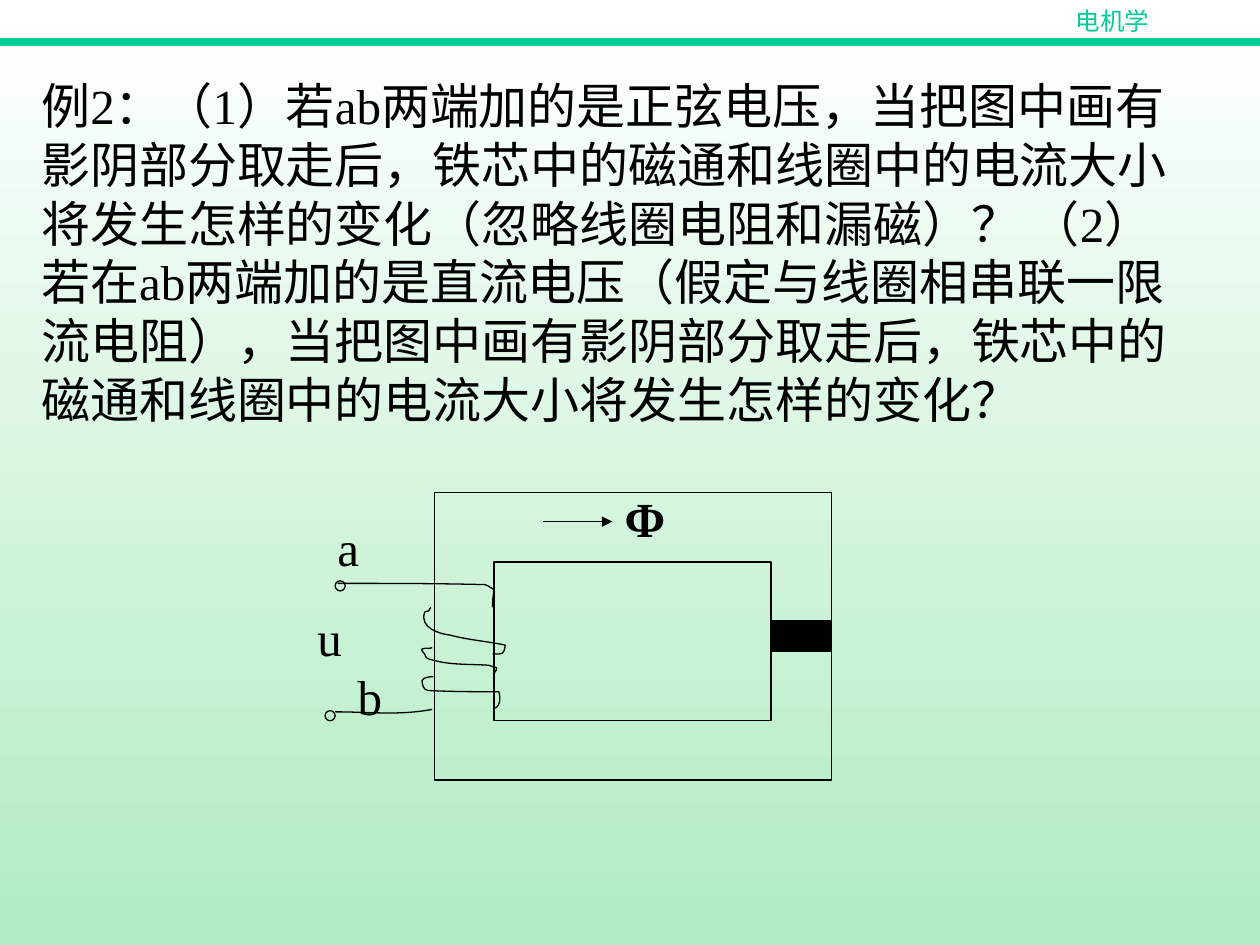
from pptx import Presentation
from pptx.dml.color import RGBColor
from pptx.enum.shapes import MSO_CONNECTOR, MSO_SHAPE
from pptx.enum.text import MSO_AUTO_SIZE, PP_ALIGN
from pptx.oxml.ns import qn
from pptx.util import Inches, Pt
from lxml.etree import SubElement

FONT = "Times New Roman"
CELL = Inches(0.1)
COLS, ROWS = 100, 75
BLACK, GREEN = "000000", "00CC99"
QUESTION = (
    "例2：（1）若ab两端加的是正弦电压，当把图中画有影阴部分取走后，"
    "铁芯中的磁通和线圈中的电流大小将发生怎样的变化（忽略线圈电阻和漏磁）？ "
    "（2）若在ab两端加的是直流电压（假定与线圈相串联一限流电阻），"
    "当把图中画有影阴部分取走后，铁芯中的磁通和线圈中的电流大小将发生怎样的变化？"
)
WIRES = [
    [(2.8, 8.3), (6.7, 8.3), (10.6, 8.3), (14.5, 8.4), (14.7, 8.4), (14.8, 8.6), (14.9, 8.6),
     (15, 8.7), (15.1, 8.7), (15.2, 8.8), (15.1, 9.9), (15.1, 9.4), (15.1, 10.2)],
    [(10.2, 10.2), (10.1, 10.3), (10.1, 10.4), (10, 10.5), (9.9, 10.5), (9.7, 10.5), (9.7, 10.6),
     (9.3, 11.8), (10.8, 12.3), (11.7, 12.4), (13.2, 12.8), (14.7, 12.9), (16.1, 13.2),
     (16, 14), (15.9, 13.9), (15.1, 13.9)],
    [(10.3, 13.4), (10.1, 13.5), (9.8, 13.4), (9.5, 13.5), (9.4, 13.6), (9.6, 13.8), (9.7, 13.9),
     (9.8, 14.3), (10, 14.3), (10.4, 14.4), (11.8, 14.8), (13.4, 14.7), (14.8, 14.8),
     (14.8, 14.8), (15.4, 15), (15.4, 15), (15.5, 15.2), (15.2, 15.3), (15.2, 15.5)],
    [(10.4, 15.7), (10.4, 15.7), (9.6, 15.7), (9.5, 16), (9.5, 16.3), (9.6, 16.8), (10, 16.8),
     (11.8, 16.9), (13.7, 16.9), (15.6, 16.9), (15.7, 17.4), (15.8, 17.9), (15.3, 18.2)],
    [(10.3, 18.3), (7.7, 18.8), (5.4, 18.5), (2.6, 18.5)],
]


def rgb(color):
    """Turn a hex string into a colour."""
    return RGBColor.from_string(color)


def place(box, x, y):
    """Return the slide position of a grid point inside a box."""
    return round((box[0] + x) * CELL), round((box[1] + y) * CELL)


def add_text(s, box, text, size=28, color=BLACK, bold=False, align=PP_ALIGN.LEFT):
    """Add a wrapped text box, without hanging punctuation, filling a box of grid cells."""
    tf = s.shapes.add_textbox(*(round(v * CELL) for v in box)).text_frame
    tf.word_wrap = True
    tf.auto_size = MSO_AUTO_SIZE.SHAPE_TO_FIT_TEXT
    p = tf.paragraphs[0]
    p.alignment = align
    p._p.get_or_add_pPr().set("hangingPunct", "0")
    r = p.add_run()
    r.text = text
    r.font.name, r.font.size, r.font.bold = FONT, Pt(size), bold
    r.font.color.rgb = rgb(color)


def style(sp, fill=None):
    """Give a shape a thin black outline and an optional fill."""
    sp.shadow.inherit = False
    sp.line.color.rgb = rgb(BLACK)
    sp.line.width = Pt(0.75)
    if fill:
        sp.fill.solid()
        sp.fill.fore_color.rgb = rgb(fill)
    else:
        sp.fill.background()


def add_shape(s, box, kind, x, y, w, h, fill=None):
    """Add a preset shape at grid cells inside a box."""
    sp = s.shapes.add_shape(kind, *place(box, x, y), round(w * CELL), round(h * CELL))
    style(sp, fill)


def add_line(s, box, start, end, color=BLACK, width=0.75, arrow=False):
    """Add a straight line between two grid points of a box."""
    sp = s.shapes.add_connector(MSO_CONNECTOR.STRAIGHT, *place(box, *start), *place(box, *end))
    sp.line.color.rgb = rgb(color)
    sp.line.width = Pt(width)
    if arrow:
        SubElement(sp.line._get_or_add_ln(), qn("a:tailEnd"), type="triangle")
    SubElement(sp._element.spPr, qn("a:effectLst"))


def add_wire(s, box, points):
    """Add an open wire of cubic curves, three points to each curve after the first point."""
    spots = [place(box, *q) for q in points]
    builder = s.shapes.build_freeform(*spots[0])
    builder.add_line_segments(spots[1:], close=False)
    sp = builder.convert_to_shape()
    style(sp)
    segments = list(sp._element.iter(qn("a:lnTo")))
    outline = segments[0].getparent()
    for i, segment in enumerate(segments):
        if i % 3 == 0:
            curve = SubElement(outline, qn("a:cubicBezTo"))
        curve.append(segment[0])
        outline.remove(segment)


def header(s, box):
    """Place the course name above a green rule."""
    x, y, w, h = box
    add_line(s, box, (0, h), (w, h), GREEN, 4.5)
    add_text(s, (x + 80.8, y, 15, 3.4), "电机学", size=14, color=GREEN, align=PP_ALIGN.CENTER)


def circuit(s, box):
    """Draw the iron core with its winding, gap, terminals and labels."""
    rect, oval = MSO_SHAPE.RECTANGLE, MSO_SHAPE.OVAL
    gap_x, gap_y, gap_w, gap_h = 37.2, 11.3, 4.7, 2.4
    add_shape(s, box, rect, 10.5, 1.1, 31.5, 22.8)
    add_shape(s, box, rect, 15.2, 6.6, 22, 12.6)
    add_shape(s, box, rect, gap_x, gap_y, gap_w, gap_h, BLACK)
    for points in WIRES:
        add_wire(s, box, points)
    for x, y in ((2.6, 8.1), (1.8, 18.4)):
        add_shape(s, box, oval, x, y, 0.8, 0.8)
    for text, x, y, w in (("Φ", 24.6, 0.3, 5.5), ("a", 1.8, 2.6, 7.1),
                          ("b", 3.4, 14.4, 3.9), ("u", 0.2, 9.7, 4.7)):
        add_text(s, (box[0] + x, box[1] + y, w, 5.7), text, bold=text == "Φ")
    add_line(s, box, (19.1, 3.4), (24.6, 3.4), arrow=True)
    step = gap_w / 3
    for i in range(3):
        left = gap_x + i * step
        add_line(s, box, (left, gap_y + gap_h), (left + step, gap_y))


def main():
    """Build and save the slide."""
    prs = Presentation()
    prs.slide_width, prs.slide_height = COLS * CELL, ROWS * CELL
    s = prs.slides.add_slide(prs.slide_layouts[6])
    fill = s.background.fill
    fill.gradient()
    fill.gradient_angle = 270
    for stop, position, color in zip(fill.gradient_stops, (0, 1), ("FFFFFF", "B0ECC1")):
        stop.position = position
        stop.color.rgb = rgb(color)
    header(s, (0, 0, COLS, 3.3))
    add_text(s, (2.3, 5.5, 92.2, 29), QUESTION)
    circuit(s, (24, 38, 42, 24))
    prs.save("out.pptx")


if __name__ == "__main__":
    main()
